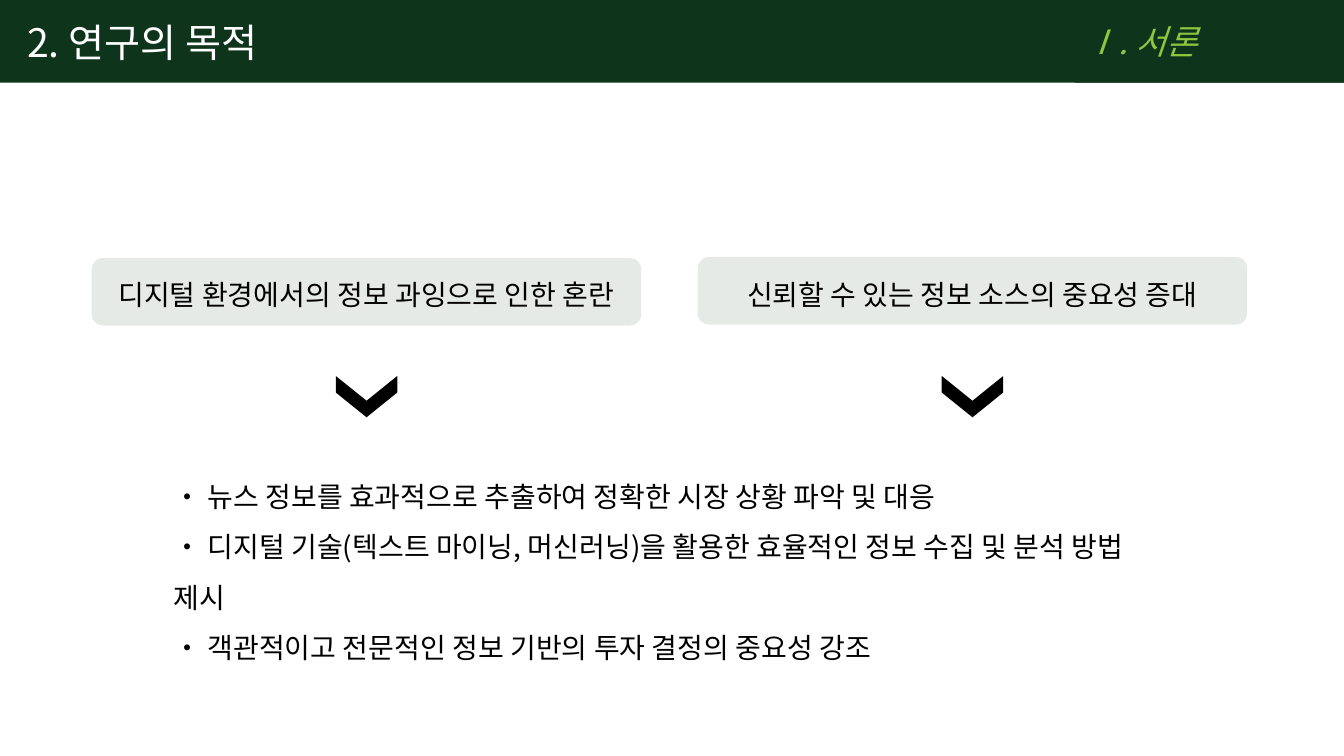
from lxml.etree import SubElement
from pptx import Presentation
from pptx.dml.color import RGBColor
from pptx.enum.shapes import MSO_SHAPE as Shape
from pptx.enum.text import MSO_ANCHOR as Anchor, MSO_AUTO_SIZE as Fit, PP_ALIGN as Align
from pptx.oxml.ns import qn
from pptx.util import Inches, Pt

FONT = "Noto Sans CJK KR"
COLORS = {"green": "0E341B", "lime": "8DC63F", "white": "FFFFFF", "black": "000000"}

deck = Presentation()
deck.slide_width, deck.slide_height = Inches(13.33), Inches(7.5)
slide = deck.slides.add_slide(deck.slide_layouts[6])


def add_shape(kind, left, top, width, height, color):
    shape = slide.shapes.add_shape(
        kind, Inches(left), Inches(top), Inches(width), Inches(height))
    shape.shadow.inherit = False
    shape.fill.solid()
    shape.fill.fore_color.rgb = RGBColor.from_string(COLORS[color])
    shape.line.fill.background()
    return shape


def write(frame, lines, size, color, align=Align.LEFT, space=1.0, italic=None):
    """Fill a text frame with one paragraph per line."""
    frame.word_wrap = True
    for i, line in enumerate(lines):
        para = frame.add_paragraph() if i else frame.paragraphs[0]
        para.alignment, para.line_spacing = align, space
        run = para.add_run()
        run.text = line
        font = run.font
        font.name, font.size, font.italic = FONT, Pt(size), italic
        font.color.rgb = RGBColor.from_string(COLORS[color])
        SubElement(run._r.get_or_add_rPr(), qn("a:ea"), typeface=FONT)


# Header: title and chapter
bars = [
    (0, 13.33, 0.27, "2. 연구의 목적", 28, "white", None),
    (10.66, 2.68, 0.1, "Ⅰ. 서론", 24, "lime", True),
]
for left, width, inset, text, size, color, italic in bars:
    bar = add_shape(Shape.RECTANGLE, left, 0, width, 0.82, "green")
    bar.text_frame.margin_left = Inches(inset)
    bar.text_frame.vertical_anchor = Anchor.MIDDLE
    write(bar.text_frame, [text], size, color, italic=italic)

# Two causes, each with a pale card, a label and a chevron
causes = [
    (0.91, 2.56, 0.88, 0.51, "디지털 환경에서의 정보 과잉으로 인한 혼란"),
    (6.92, 2.55, 6.89, 0.54, "신뢰할 수 있는 정보 소스의 중요성 증대"),
]
for left, top, edge, height, text in causes:
    card = add_shape(Shape.ROUNDED_RECTANGLE, left, top, 5.45, 0.67, "green")
    tint = card.fill._xPr.find(qn("a:solidFill"))[0]
    SubElement(tint, qn("a:alpha"), val="10000")

    label = slide.shapes.add_textbox(
        Inches(edge), Inches(2.6), Inches(5.51), Inches(height))
    write(label.text_frame, [text], 20, "black", Align.CENTER, 1.3)
    label.text_frame.auto_size = Fit.SHAPE_TO_FIT_TEXT

    arrow = add_shape(Shape.CHEVRON, left + 2.52, 3.63, 0.41, 0.61, "black")
    arrow.adjustments[0] = 0.6
    arrow.rotation = 90

# Aims of the study
aims = slide.shapes.add_textbox(Inches(1.62), Inches(4.54), Inches(10.1), Inches(1.62))
write(aims.text_frame, [
    "• 뉴스 정보를 효과적으로 추출하여 정확한 시장 상황 파악 및 대응",
    "• 디지털 기술(텍스트 마이닝, 머신러닝)을 활용한 효율적인 정보 수집 및 분석 방법 제시",
    "• 객관적이고 전문적인 정보 기반의 투자 결정의 중요성 강조",
], 20, "black", space=1.5)
aims.text_frame.auto_size = Fit.SHAPE_TO_FIT_TEXT

deck.save("out.pptx")
